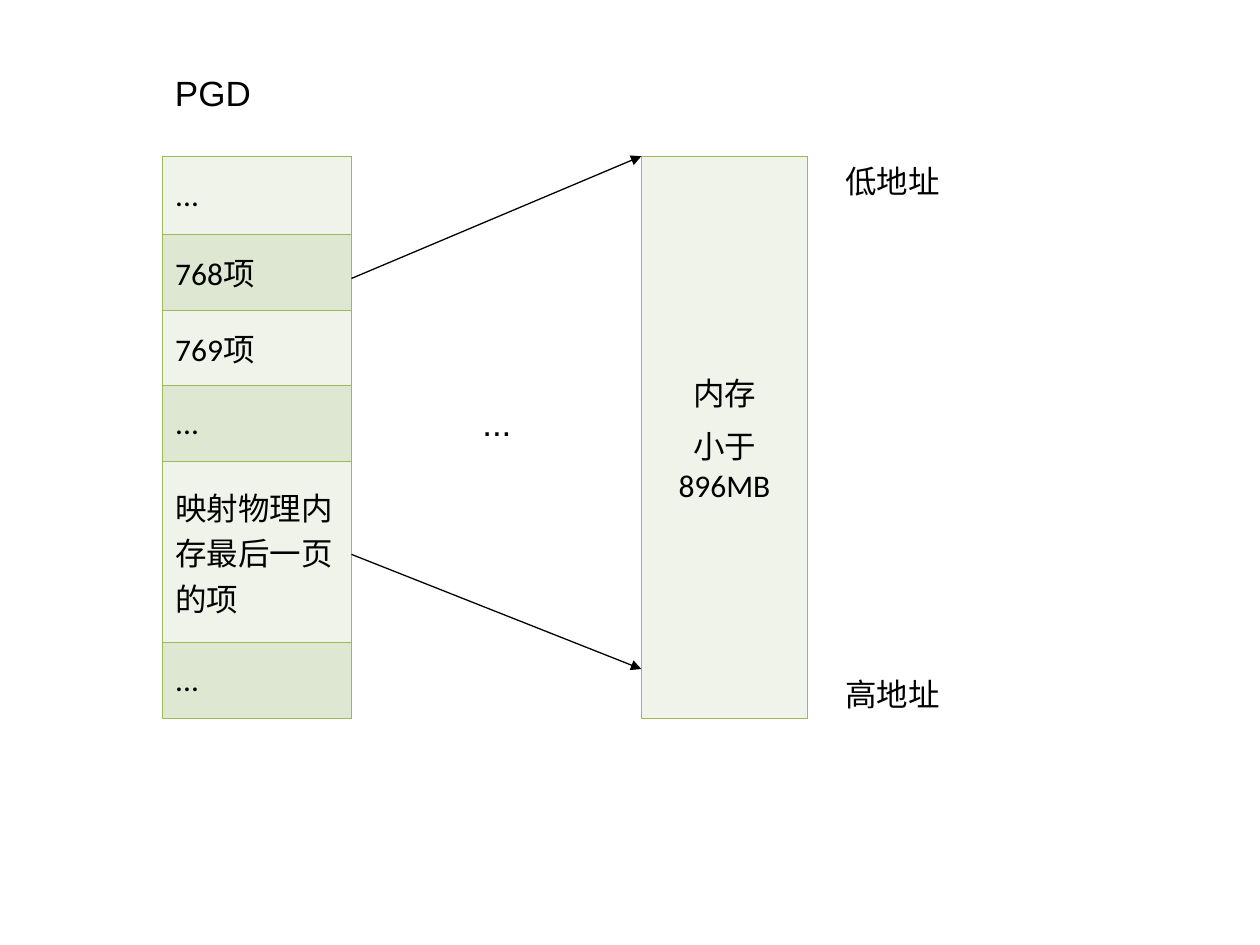
from lxml import etree
from pptx import Presentation
from pptx.dml.color import RGBColor
from pptx.enum import shapes, text
from pptx.oxml import ns
from pptx.util import Inches, Pt

BLACK = RGBColor(0x00, 0x00, 0x00)
PALE = RGBColor(0xEF, 0xF3, 0xEA)
GREEN = RGBColor(0xDE, 0xE7, 0xD1)
EDGE = "9BBB59"
LEFT, CENTER = text.PP_ALIGN.LEFT, text.PP_ALIGN.CENTER


def write(frame, words, font="Arial", size=18, align=LEFT, before=0):
    """Fill a text frame, one paragraph per line of words."""
    frame.text = words
    for para in frame.paragraphs:
        para.alignment = align
        if before:
            para.space_before = Pt(before)
        for run in para.runs:
            run.font.name = font
            run.font.size = Pt(size)
            run.font.color.rgb = BLACK


def border(cell):
    props = cell._tc.get_or_add_tcPr()
    for spot, side in enumerate(("lnL", "lnR", "lnT", "lnB")):
        line = etree.Element(ns.qn("a:" + side), w=str(Pt(0.45)))
        fill = etree.SubElement(line, ns.qn("a:solidFill"))
        etree.SubElement(fill, ns.qn("a:srgbClr"), val=EDGE)
        props.insert(spot, line)


prs = Presentation()
prs.slide_width, prs.slide_height = Inches(10), Inches(7.5)
slide = prs.slides.add_slide(prs.slide_layouts[6])

# Page directory and memory: left, width, alignment, rows of (text, height)
top = 1.24
entries = [("...", 0.62), ("768项", 0.6), ("769项", 0.6), ("...", 0.6),
           ("映射物理内存最后一页的项", 1.44), ("...", 0.6)]
tall = sum(high for _, high in entries)
memory = [("内存\n小于896MB", tall)]

for left, wide, align, rows in [(1.29, 1.5, LEFT, entries),
                                (5.09, 1.32, CENTER, memory)]:
    table = slide.shapes.add_table(
        len(rows), 1, Inches(left), Inches(top), Inches(wide), Inches(tall)).table
    table.first_row = False
    for i, (words, high) in enumerate(rows):
        table.rows[i].height = Inches(high)
        cell = table.cell(i, 0)
        cell.vertical_anchor = text.MSO_ANCHOR.MIDDLE
        cell.fill.solid()
        cell.fill.fore_color.rgb = GREEN if i % 2 else PALE
        border(cell)
        write(cell.text_frame, words, font="Calibri", align=align, before=4.5)

# Arrows from directory entries to the ends of memory
for start, end in [(2.21, top), (4.4, 5.31)]:
    arrow = slide.shapes.add_connector(
        shapes.MSO_CONNECTOR.STRAIGHT,
        Inches(2.79), Inches(start), Inches(5.09), Inches(end))
    arrow.line.color.rgb = BLACK
    arrow.line.width = Pt(0.75)
    etree.SubElement(arrow.line._get_or_add_ln(), ns.qn("a:tailEnd"), type="triangle")
    etree.SubElement(arrow._element.spPr, ns.qn("a:effectLst"))

# Labels
for words, left, y, wide, high, size, wrap in [
        ("低地址", 6.61, top, 0.95, 0.4, 18, False),
        ("高地址", 6.61, 5.31, 0.95, 0.4, 18, False),
        ("...", 3.73, 3.14, 0.43, 0.44, 20, False),
        ("PGD", 1.29, 0.52, 0.92, 0.44, 20, True)]:
    box = slide.shapes.add_textbox(Inches(left), Inches(y), Inches(wide), Inches(high))
    box.text_frame.word_wrap = wrap
    box.text_frame.auto_size = text.MSO_AUTO_SIZE.SHAPE_TO_FIT_TEXT
    write(box.text_frame, words, size=size)

prs.save("out.pptx")
